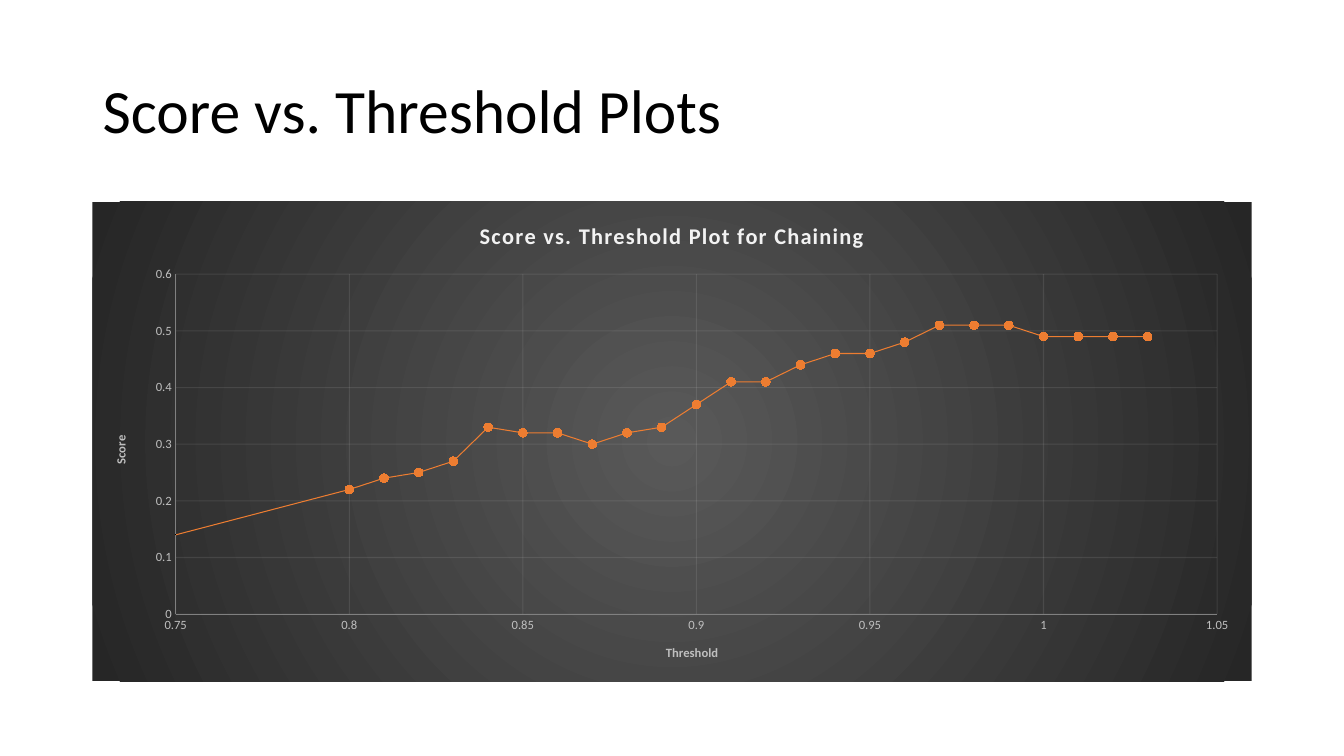
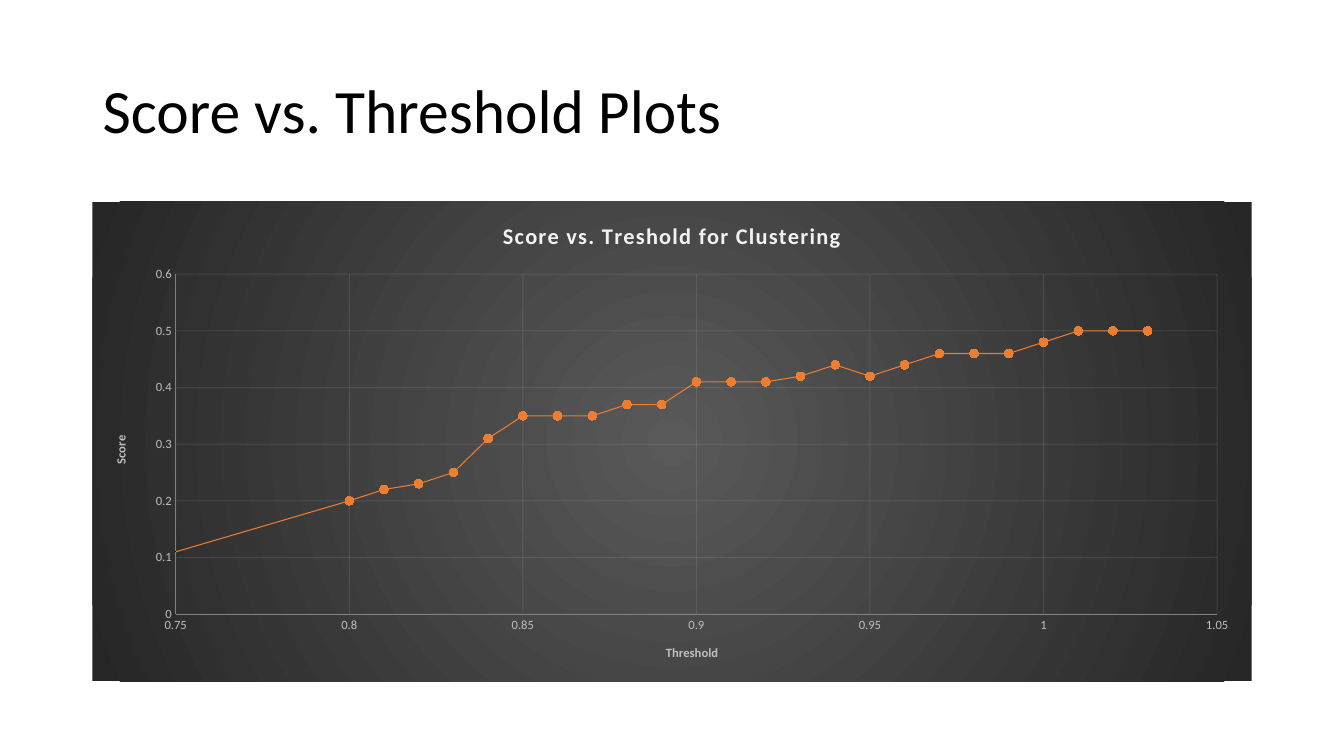
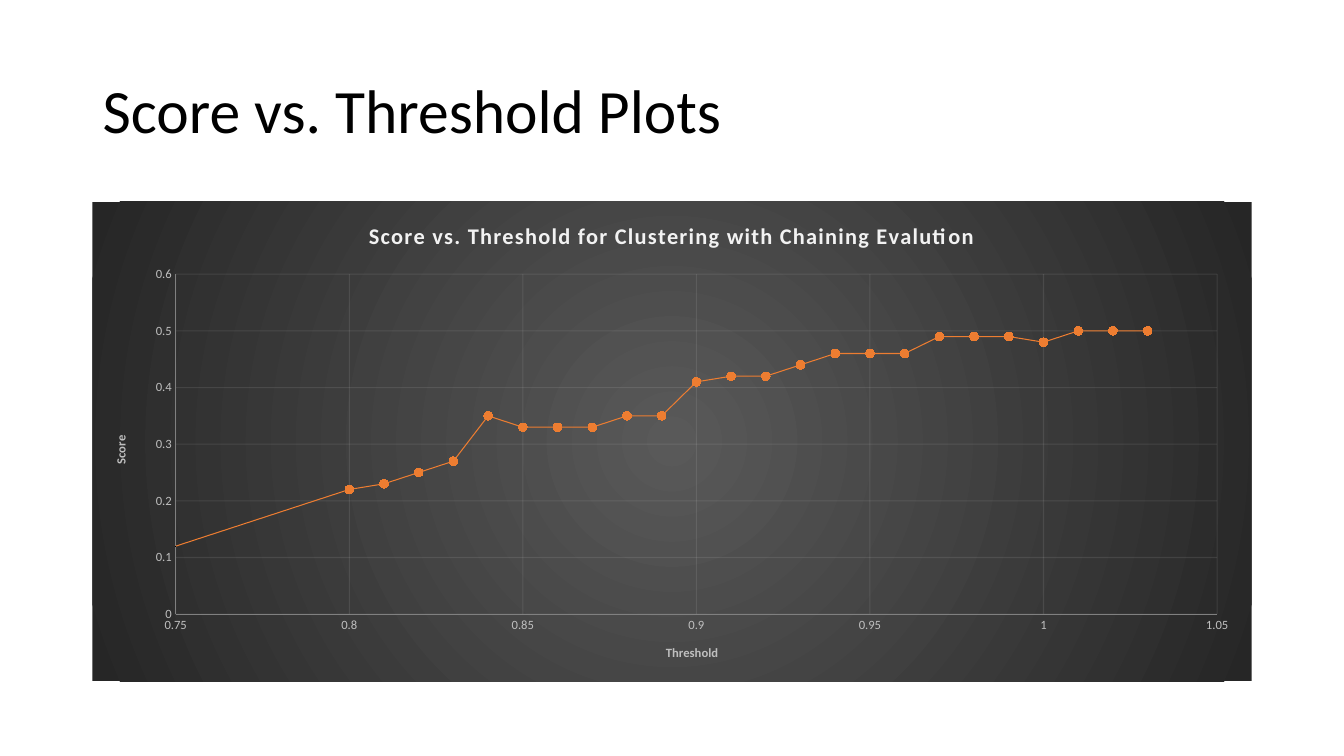
from dataclasses import dataclass

from lxml.etree import SubElement
from pptx import Presentation
from pptx.chart.data import XyChartData
from pptx.dml.color import RGBColor
from pptx.enum.chart import XL_CHART_TYPE, XL_MARKER_STYLE, XL_TICK_MARK
from pptx.enum.text import MSO_ANCHOR, PP_ALIGN
from pptx.oxml import parse_xml
from pptx.oxml.ns import nsdecls, qn
from pptx.util import Cm, Pt


@dataclass(frozen=True)
class Theme:
    font: str = "Calibri"
    ink: RGBColor = RGBColor(0x00, 0x00, 0x00)
    chart_title: RGBColor = RGBColor(0xF2, 0xF2, 0xF2)
    label: RGBColor = RGBColor(0xBF, 0xBF, 0xBF)
    axis: RGBColor = RGBColor(0x80, 0x80, 0x80)
    grid: RGBColor = RGBColor(0xF2, 0xF2, 0xF2)
    series: RGBColor = RGBColor(0xED, 0x7D, 0x31)
    marker: RGBColor = RGBColor(0xF6, 0x7B, 0x28)
    panel_centre: str = "595959"
    panel_edge: str = "262626"
    title_size: Pt = Pt(44)
    chart_title_size: Pt = Pt(16)
    chart_size: Pt = Pt(10)
    label_size: Pt = Pt(9)
    line_width: Pt = Pt(0.75)


theme = Theme()

PANEL_FILL = f"""<c:spPr {nsdecls("c", "a")}>
  <a:gradFill>
    <a:gsLst>
      <a:gs pos="0"><a:srgbClr val="{theme.panel_centre}"/></a:gs>
      <a:gs pos="100000"><a:srgbClr val="{theme.panel_edge}"/></a:gs>
    </a:gsLst>
    <a:path path="circle"><a:fillToRect l="50000" t="50000" r="50000" b="50000"/></a:path>
  </a:gradFill>
  <a:ln><a:noFill/></a:ln>
</c:spPr>"""

# One threshold far left, then steps of 0.01
thresholds = [0.75] + [step / 100 for step in range(80, 104)]

plots = [
    ("Score vs. Threshold Plot for Chaining",
     [0.14, 0.22, 0.24, 0.25, 0.27, 0.33, 0.32, 0.32, 0.3, 0.32, 0.33, 0.37, 0.41,
      0.41, 0.44, 0.46, 0.46, 0.48, 0.51, 0.51, 0.51, 0.49, 0.49, 0.49, 0.49]),
    ("Score vs. Treshold for Clustering",
     [0.11, 0.2, 0.22, 0.23, 0.25, 0.31, 0.35, 0.35, 0.35, 0.37, 0.37, 0.41, 0.41,
      0.41, 0.42, 0.44, 0.42, 0.44, 0.46, 0.46, 0.46, 0.48, 0.5, 0.5, 0.5]),
    ("Score vs. Threshold for Clustering with Chaining Evalution",
     [0.12, 0.22, 0.23, 0.25, 0.27, 0.35, 0.33, 0.33, 0.33, 0.35, 0.35, 0.41, 0.42,
      0.42, 0.44, 0.46, 0.46, 0.46, 0.49, 0.49, 0.49, 0.48, 0.5, 0.5, 0.5]),
]


def add_text(frame, text, size, color, bold=False):
    """Write one formatted run and return its paragraph."""
    para = frame.paragraphs[0]
    span = para.add_run()
    span.text = text
    span.font.name = theme.font
    span.font.size = size
    span.font.bold = bold
    span.font.color.rgb = color
    return para


def style_axis(axis, title, low, high, unit):
    """Set scale, labels, line, grid and title of one axis."""
    axis.minimum_scale, axis.maximum_scale, axis.major_unit = low, high, unit
    axis.major_tick_mark = axis.minor_tick_mark = XL_TICK_MARK.NONE
    axis.tick_labels.font.name = theme.font
    axis.tick_labels.font.size = theme.label_size
    axis.tick_labels.font.color.rgb = theme.label
    axis.has_major_gridlines = True
    for line, color in ((axis.format.line, theme.axis),
                        (axis.major_gridlines.format.line, theme.grid)):
        line.width = theme.line_width
        line.color.rgb = color
    add_text(axis.axis_title.text_frame, title, theme.label_size, theme.label, bold=True)


deck = Presentation()
deck.slide_width, deck.slide_height = Cm(33.87), Cm(19.05)
left, width = Cm(2.33), Cm(29.21)

for chart_title, scores in plots:
    page = deck.slides.add_slide(deck.slide_layouts[5])

    # Slide title
    box = page.shapes.title
    box.left, box.top, box.width, box.height = left, Cm(1.01), width, Cm(3.68)
    box.text_frame.vertical_anchor = MSO_ANCHOR.MIDDLE
    para = add_text(box.text_frame, "Score vs. Threshold Plots", theme.title_size, theme.ink)
    para.alignment = PP_ALIGN.LEFT
    para.line_spacing = 0.9

    # Chart on a dark radial panel
    data = XyChartData()
    points = data.add_series("Series 1")
    for threshold, score in zip(thresholds, scores):
        points.add_data_point(threshold, score)
    chart = page.shapes.add_chart(XL_CHART_TYPE.XY_SCATTER_LINES, left, Cm(5.08),
                                  width, Cm(12.09), data).chart
    chart.has_legend = False
    chart.font.name = theme.font
    chart.font.size = theme.chart_size
    chart.font.color.rgb = theme.ink
    chart.element.find(qn("c:chart")).addnext(parse_xml(PANEL_FILL))

    # Chart title with wide letter spacing
    add_text(chart.chart_title.text_frame, chart_title, theme.chart_title_size,
             theme.chart_title, bold=True)
    chart.chart_title.include_in_layout = False
    for properties in chart.chart_title.element.iter(qn("a:rPr")):
        properties.set("spc", "100")

    # Axes: upright score title, faint gridlines
    style_axis(chart.category_axis, "Threshold", 0.75, 1.05, 0.05)
    style_axis(chart.value_axis, "Score", 0, 0.6, 0.1)
    for body in chart.value_axis.axis_title.element.iter(qn("a:bodyPr")):
        body.set("rot", "-5400000")
        body.set("vert", "horz")
    for gridlines in chart.element.iter(qn("c:majorGridlines")):
        for color in gridlines.iter(qn("a:srgbClr")):
            SubElement(color, qn("a:alpha")).set("val", "10000")

    # Series: the point on the axis has no marker
    chart.plots[0].vary_by_categories = False
    series = chart.plots[0].series[0]
    series.smooth = False
    series.format.line.width = theme.line_width
    series.format.line.color.rgb = theme.series
    series.marker.style = XL_MARKER_STYLE.CIRCLE
    series.marker.size = 6
    series.marker.format.fill.solid()
    series.marker.format.fill.fore_color.rgb = theme.marker
    series.marker.format.line.color.rgb = theme.series
    first = series.points[0]
    first.marker.style = XL_MARKER_STYLE.NONE
    first.format.line.width = theme.line_width
    first.format.line.color.rgb = theme.series

deck.save("out.pptx")
